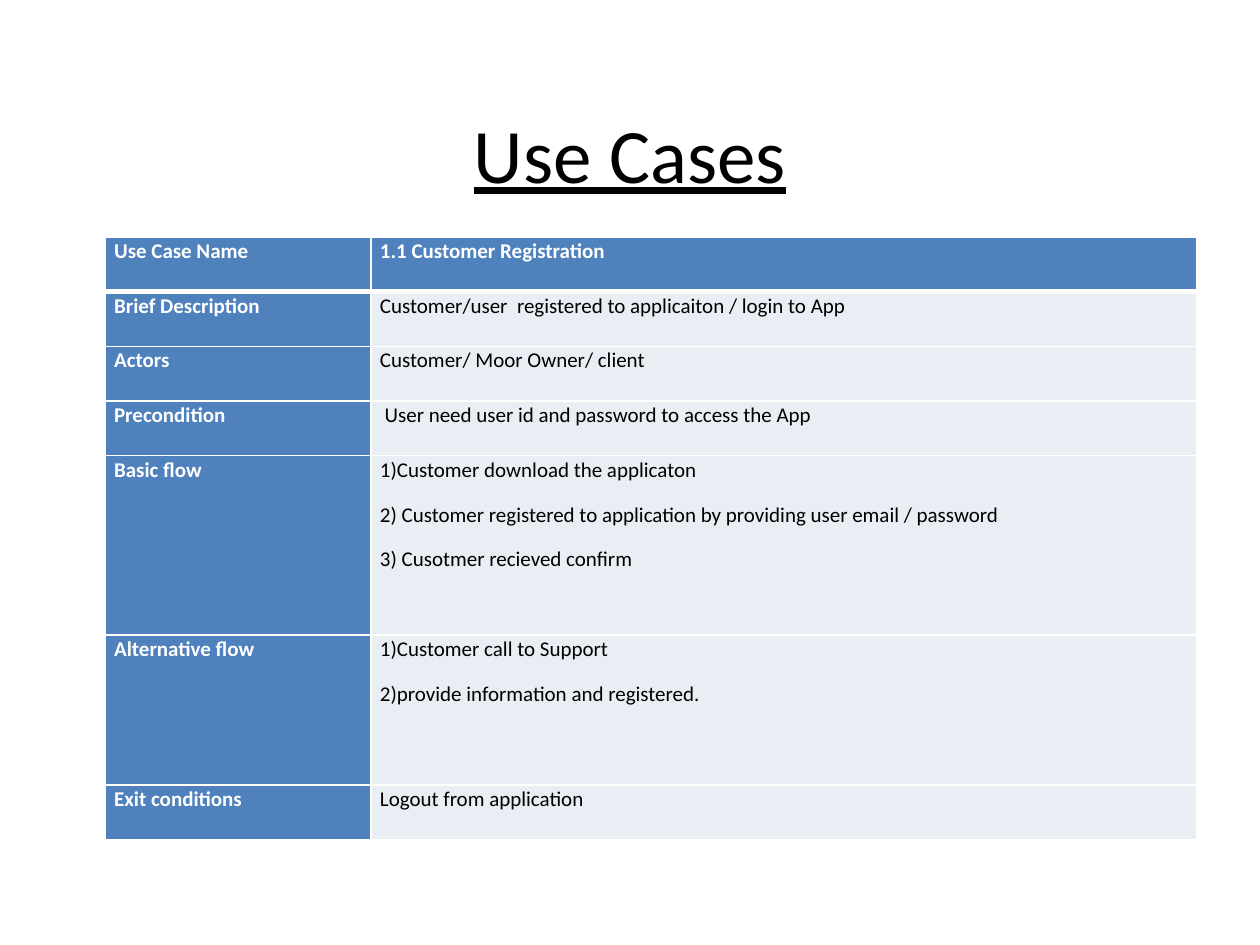
from lxml.etree import SubElement
from pptx import Presentation
from pptx.dml.color import RGBColor
from pptx.enum.text import MSO_ANCHOR, PP_ALIGN
from pptx.oxml.ns import qn
from pptx.util import Cm, Pt

COLORS = {"header": "4F81BD", "body": "E9EDF4", "white": "FFFFFF", "black": "000000"}
FONT = "Calibri"
SHORT_ROW = 1.1
COL_WIDTHS = (5.36, 16.64)

# Label, lines of detail, row height in cm
USE_CASE = [
    ("Use Case Name", ["1.1 Customer Registration"], SHORT_ROW),
    ("Brief Description", ["Customer/user  registered to applicaiton / login to App"], SHORT_ROW),
    ("Actors", ["Customer/ Moor Owner/ client"], SHORT_ROW),
    ("Precondition", [" User need user id and password to access the App"], SHORT_ROW),
    ("Basic flow", ["1)Customer download the applicaton",
                    "2) Customer registered to application by providing user email / password",
                    "3) Cusotmer recieved confirm"], 3.62),
    ("Alternative flow", ["1)Customer call to Support",
                          "2)provide information and registered."], 3.02),
    ("Exit conditions", ["Logout from application"], SHORT_ROW),
]


def rgb(name):
    return RGBColor.from_string(COLORS[name])


def set_borders(cell, widths):
    """Draw white borders; widths maps each side (L, R, T, B) to points."""
    tcPr = cell._tc.get_or_add_tcPr()
    for side, width in widths.items():
        ln = SubElement(tcPr, qn(f"a:ln{side}"), w=str(Pt(width)))
        fill = SubElement(ln, qn("a:solidFill"))
        SubElement(fill, qn("a:srgbClr"), val=COLORS["white"])


def fill_cell(cell, lines, is_header, borders):
    set_borders(cell, borders)
    cell.fill.solid()
    cell.fill.fore_color.rgb = rgb("header" if is_header else "body")
    cell.margin_left = cell.margin_right = Cm(0.18)
    cell.margin_top = cell.margin_bottom = 0
    tf = cell.text_frame
    tf.text = "\n".join(lines)
    for p in tf.paragraphs:
        p.alignment = PP_ALIGN.JUSTIFY
        p.line_spacing = 1.07
        p.space_after = Pt(10)
        p.font.name = FONT
        p.font.size = Pt(12)
        p.font.bold = is_header
        p.font.color.rgb = rgb("white" if is_header else "black")


def add_title(s, text, left, top, width, height):
    sp = s.shapes.title
    sp.left, sp.top, sp.width, sp.height = Cm(left), Cm(top), Cm(width), Cm(height)
    tf = sp.text_frame
    tf.text = text
    tf.vertical_anchor = MSO_ANCHOR.MIDDLE
    p = tf.paragraphs[0]
    p.alignment = PP_ALIGN.CENTER
    p.font.name = FONT
    p.font.size = Pt(44)
    p.font.underline = True
    p.font.color.rgb = rgb("black")


def add_use_case_table(s, rows, left, top):
    height = sum(row_height for _, _, row_height in rows)
    table = s.shapes.add_table(len(rows), len(COL_WIDTHS), Cm(left), Cm(top),
                               Cm(sum(COL_WIDTHS)), Cm(height)).table
    for column, width in zip(table.columns, COL_WIDTHS):
        column.width = Cm(width)
    for i, (label, details, row_height) in enumerate(rows):
        table.rows[i].height = Cm(row_height)
        borders = {"L": 1, "R": 1, "T": 3 if i == 1 else 1, "B": 3 if i == 0 else 1}
        fill_cell(table.cell(i, 0), [label], True, borders)
        fill_cell(table.cell(i, 1), details, i == 0, borders)


def main():
    prs = Presentation()
    prs.slide_width, prs.slide_height = Cm(25.4), Cm(19.05)
    s = prs.slides.add_slide(prs.slide_layouts[5])
    add_title(s, "Use Cases", 1.27, 1.48, 22.86, 3.18)
    add_use_case_table(s, USE_CASE, 2.12, 4.78)
    prs.save("out.pptx")


if __name__ == "__main__":
    main()
